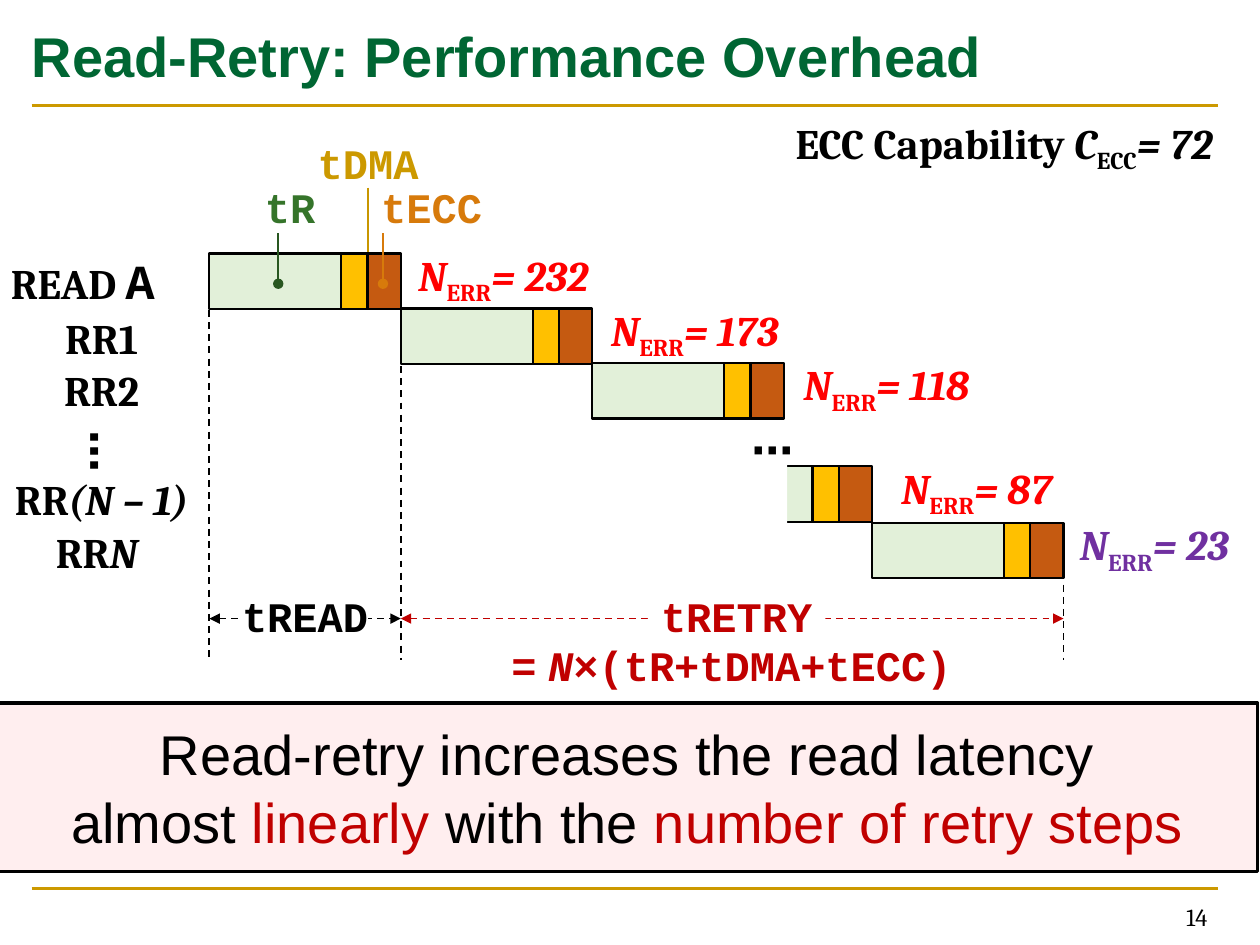
from lxml.etree import SubElement
from pptx import Presentation
from pptx.dml.color import RGBColor
from pptx.enum.dml import MSO_LINE
from pptx.enum.shapes import MSO_CONNECTOR, MSO_SHAPE
from pptx.enum.text import MSO_ANCHOR as Anchor, PP_ALIGN as Align
from pptx.oxml.ns import qn
from pptx.util import Cm, Pt

SERIF, MONO, SANS = "Cambria", "Courier New", "Arial"
BLACK, WHITE, RED, GOLD = "000000", "FFFFFF", "C00000", "CC9900"

# Bar grid: one read takes STEP; its parts are tR, tDMA and tECC
LEFT, STEP, HIGH = 4.22, 3.86, 1.12
PARTS = [(2.66, "E2F0D9"), (0.53, "FFC000"), (0.67, "C55A11")]


def paint(color, code):
    color.rgb = RGBColor.from_string(code)


def write(shape, lines, color=BLACK, face=SERIF, size=24, bold=True,
          align=Align.CENTER, pad=(0, 0, 0, 0)):
    """Each line is a list of (text, options) runs."""
    frame = shape.text_frame
    frame.word_wrap = True
    frame.vertical_anchor = Anchor.MIDDLE
    (frame.margin_left, frame.margin_top,
     frame.margin_right, frame.margin_bottom) = [Cm(p) for p in pad]
    for i, line in enumerate(lines):
        para = frame.add_paragraph() if i else frame.paragraphs[0]
        para.alignment = align
        for words, opts in line:
            run = para.add_run()
            run.text = words
            font = run.font
            font.name = opts.get("face", face)
            font.size = Pt(opts.get("size", size))
            font.bold = bold
            font.italic = opts.get("italic", False)
            paint(font.color, opts.get("color", color))
            if "base" in opts:
                font._element.set("baseline", str(opts["base"]))


def text(slide, box, *runs, **style):
    shape = slide.shapes.add_textbox(*[Cm(v) for v in box])
    write(shape, [runs], **style)
    return shape


def rect(slide, box, fill, edge=None, width=1.25):
    shape = slide.shapes.add_shape(MSO_SHAPE.RECTANGLE, *[Cm(v) for v in box])
    shape.shadow.inherit = False
    shape.fill.solid()
    paint(shape.fill.fore_color, fill)
    if edge:
        paint(shape.line.color, edge)
        shape.line.width = Pt(width)
    else:
        shape.line.fill.background()
    return shape


def rule(slide, x1, y1, x2, y2, color, width=1, dash=False, head=None, tail=None):
    line = slide.shapes.add_connector(
        MSO_CONNECTOR.STRAIGHT, Cm(x1), Cm(y1), Cm(x2), Cm(y2))
    paint(line.line.color, color)
    line.line.width = Pt(width)
    if dash:
        line.line.dash_style = MSO_LINE.DASH
    props = line._element.spPr
    for tag, kind in (("a:headEnd", head), ("a:tailEnd", tail)):
        if kind:
            SubElement(props.find(qn("a:ln")), qn(tag), type=kind)
    SubElement(props, qn("a:effectLst"))


def frame(slide, x, wide):
    text(slide, (x, 0.1, wide, 2.01), ("Read-Retry: Performance Overhead", {}),
         color="006633", face=SANS, size=32, align=Align.LEFT)
    for y in (2.13, 17.91):
        rule(slide, x, y, x + wide, y, GOLD, 1.5)
    text(slide, (18.67, 18.06, 5.92, 0.86), ("14", {}), size=14, bold=False,
         align=Align.RIGHT, pad=(0.25, 0.13, 0.25, 0.13))


def formula(slide, box, lead, name, sub, value, color):
    """A symbol with a subscript and its value."""
    text(slide, box, (lead, {}), (name, {"italic": True}), (sub, {"base": -25000}),
         (f"= {value}", {"italic": True}), color=color,
         pad=(0.25, 0.13, 0.25, 0.13))


def read(slide, x, y, errors, color="FF0000", shift=-0.42):
    """One read step: three bars, then its error count."""
    for wide, fill in PARTS:
        rect(slide, (x, y, wide, HIGH), fill, BLACK)
        x += wide
    formula(slide, (x + shift, y - 0.14, 4.98, 1.27), "", "N", "ERR", errors, color)


def steps(slide, x, y):
    late = x + 9.5
    read(slide, x, y, 232)
    read(slide, x + STEP, y + 1.11, 173)
    read(slide, x + 2 * STEP, y + 2.21, 118)
    read(slide, late, y + 4.29, 87, shift=-0.38)
    rect(slide, (late - 0.11, y + 4.16, 2.26, 1.37), WHITE)
    read(slide, late + STEP, y + 5.43, 23, "7030A0", -0.66)
    text(slide, (x + 10.84, y + 3.4, 1.02, 1.09), ("⋯", {}), face="Calibri")


def names(slide, x, y):
    slant = {"italic": True}
    rows = [(-0.28, 0, [("READ ", {}), ("A", {"face": MONO, "size": 28})]),
            (0.1, 1.17, [("RR1", {})]),
            (0.1, 2.21, [("RR2", {})]),
            (0.1, 4.42, [("RR", {}), ("(N – 1)", slant)]),
            (0, 5.49, [("RR", {}), ("N", slant)])]
    for dx, dy, runs in rows:
        text(slide, (x + dx, y + dy, 3.7, 1.02), *runs, pad=(0.2, 0, 0, 0))
    dots = text(slide, (x + 1.4, y + 3.13, 1.09, 1.7), ("⋯", {}), face="Calibri")
    dots.rotation = 90


def parts(slide, x, y):
    """Names of the parts of the first read, above its bars."""
    for name, dx, dy, color in [("tR", 1.63, 0.89, "35742A"),
                                ("tDMA", 3.2, 0, GOLD),
                                ("tECC", 3.63, 0.89, "D77A0B")]:
        text(slide, (x + dx - 2, y + dy, 4, 1.02), (name, {}),
             color=color, face=MONO) if name != "tECC" else text(
            slide, (x + 3.22, y + dy, 2.52, 1.02), (name, {}),
            color=color, face=MONO)


def pointers(slide, x, top, foot, marks):
    for dx, dy, color in marks:
        rule(slide, x + dx, top + dy, x + dx, foot, color, tail="oval")


def spans(slide, x, y):
    """Times of the first read and of all retries."""
    mid, end = x + STEP, x + 9.5 + 2 * STEP
    for left, right, color in ((x, mid, BLACK), (mid, end, RED)):
        rule(slide, left, y, right, y, color, dash=True,
             head="triangle", tail="triangle")
    for dx, dy, wide, color, runs in [
            (0.66, -0.56, 2.54, BLACK, [("tREAD", {})]),
            (8.84, -0.56, 3.58, RED, [("tRETRY", {})]),
            (5.84, 0.43, 9.37, RED,
             [("=", {}), (" ", {"face": SANS}), ("N", {"italic": True}),
              ("×(tR+tDMA+tECC)", {})])]:
        write(rect(slide, (x + dx, y + dy, wide, 1.02), WHITE), [runs],
              color=color, face=MONO)


def guides(slide, x, foot):
    for dx, top in ((0, 6.25), (STEP, 6.4), (9.5 + 2 * STEP, 11.05)):
        rule(slide, x + dx, top, x + dx, foot, BLACK, dash=True)


def banner(slide, box):
    accent = {"color": RED}
    write(rect(slide, box, "FFEEEF", BLACK, 2),
          [[("Read-retry increases the read latency", {})],
           [("almost ", {}), ("linearly ", accent), ("with the", {}),
            (" number of retry steps", accent)]],
          face=SANS, size=32, bold=False)


def main():
    deck = Presentation()
    deck.slide_width, deck.slide_height = Cm(25.4), Cm(19.05)
    slide = deck.slides.add_slide(deck.slide_layouts[6])
    frame(slide, 0.64, 23.92)
    formula(slide, (14.76, 2.31, 10.97, 1.27), "ECC Capability ", "C", "ECC", 72, BLACK)
    parts(slide, LEFT, 2.77)
    pointers(slide, LEFT, 3.78, 5.72, [(3.2, 0, "C89600")])
    banner(slide, (-0.05, 14.17, 25.4, 3.4))
    guides(slide, LEFT, 13.3)
    names(slide, 0, 5.13)
    steps(slide, LEFT, 5.11)
    pointers(slide, LEFT, 3.78, 5.72,
             [(1.39, 0.92, "285720"), (3.5, 0.92, "D77A0B")])
    spans(slide, LEFT, 12.47)
    deck.save("out.pptx")


if __name__ == "__main__":
    main()
